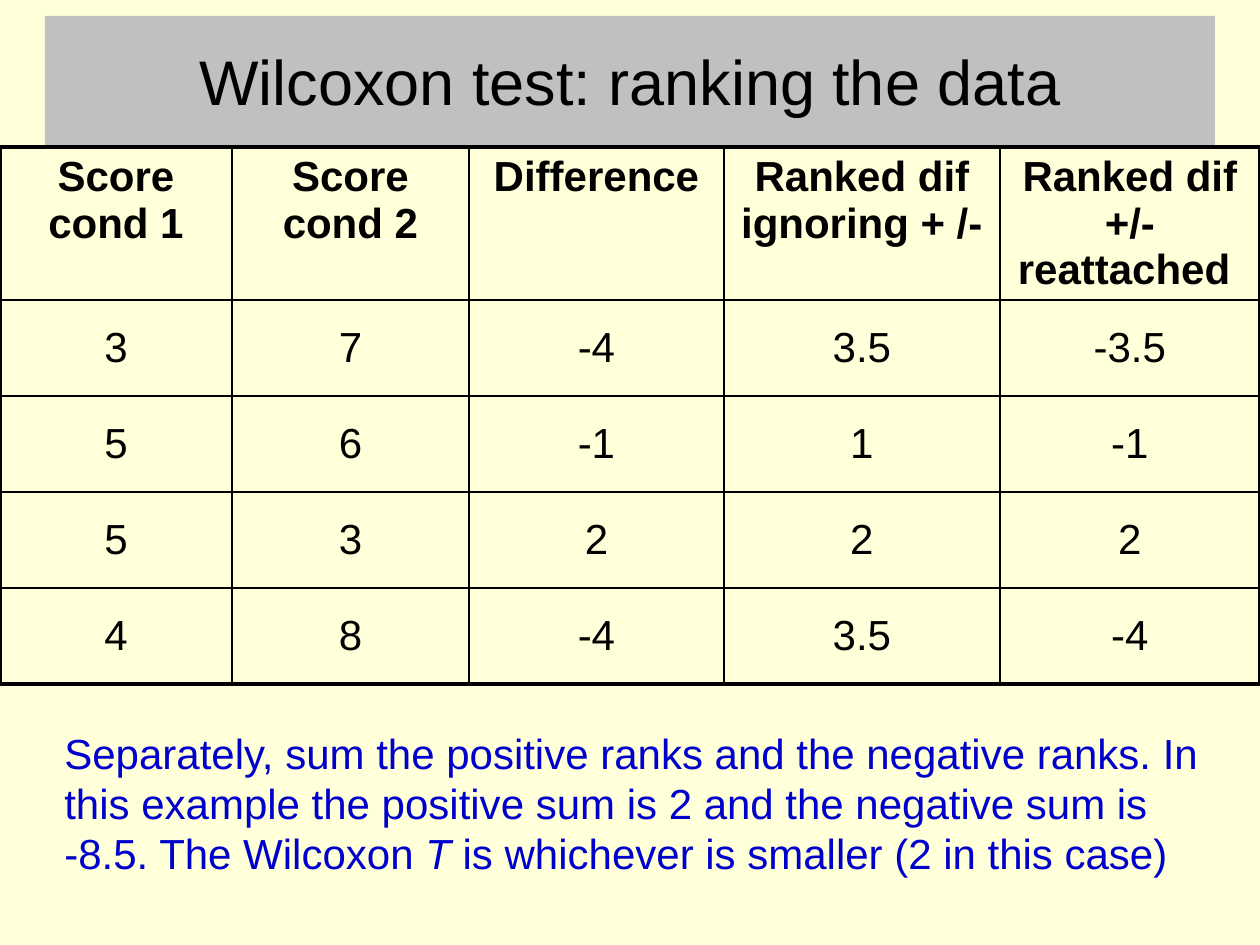
from lxml.etree import SubElement
from pptx import Presentation
from pptx.dml.color import RGBColor
from pptx.enum.shapes import MSO_SHAPE as Shape
from pptx.enum.text import MSO_ANCHOR as Anchor, PP_ALIGN as Align
from pptx.oxml.ns import qn
from pptx.util import Pt

PX = 914400 // 126
CREAM = RGBColor(0xFF, 0xFF, 0xD9)
GREY = RGBColor(0xC0, 0xC0, 0xC0)
BLACK = RGBColor(0, 0, 0)
BLUE = RGBColor(0, 0, 0xCC)

COLS = [232, 237, 255, 276, 260]
HEAD = ["Score cond 1", "Score cond 2", "Difference",
        "Ranked dif ignoring + /-", "Ranked dif +/- reattached "]
DATA = [
    ["3", "7", "-4", "3.5", "-3.5"],
    ["5", "6", "-1", "1", "-1"],
    ["5", "3", "2", "2", "2"],
    ["4", "8", "-4", "3.5", "-4"],
]


def scale(box):
    """Turn a box in px into EMU."""
    return [n * PX for n in box]


def add_run(para, text, size, color, **extra):
    """Add a run of text in the slide's font."""
    run = para.add_run()
    run.text = text
    run.font.color.rgb = color
    look = {"name": "Arial", "size": Pt(size), **extra}
    for key, value in look.items():
        setattr(run.font, key, value)


def add_edge(cell, side, width):
    """Draw one border of a cell."""
    line = SubElement(cell._tc.get_or_add_tcPr(), qn("a:" + side), w=str(Pt(width)))
    fill = SubElement(line, qn("a:solidFill"))
    SubElement(fill, qn("a:srgbClr"), val=str(BLACK))


def add_title(slide, box):
    """Place the title band."""
    band = slide.shapes.add_shape(Shape.RECTANGLE, *scale(box))
    band.shadow.inherit = False
    band.fill.solid()
    band.fill.fore_color.rgb = GREY
    band.line.fill.background()
    band.text_frame.vertical_anchor = Anchor.MIDDLE
    para = band.text_frame.paragraphs[0]
    para.alignment = Align.CENTER
    add_run(para, "Wilcoxon test: ranking the data", 36, BLACK)


def add_ranks(slide, box, top):
    """Place the table of scores and ranks, with a header row of the given height."""
    rows = [HEAD] + DATA
    last, end = len(DATA), len(COLS) - 1
    table = slide.shapes.add_table(len(rows), len(COLS), *scale(box)).table
    for col, width in zip(table.columns, COLS):
        col.width = width * PX
    for r, texts in enumerate(rows):
        table.rows[r].height = (top if r == 0 else (box[3] - top) // last) * PX
        for c, text in enumerate(texts):
            cell = table.cell(r, c)
            cell.vertical_anchor = Anchor.MIDDLE if r else Anchor.TOP
            para = cell.text_frame.paragraphs[0]
            para.alignment = Align.CENTER
            add_run(para, text, 24, BLACK, bold=r == 0)
            outer = {"lnL": c == 0, "lnR": c == end, "lnT": r == 0, "lnB": r == last}
            for side, thick in outer.items():
                add_edge(cell, side, 2.25 if thick else 1)
            cell.fill.background()


def add_note(slide, box):
    """Place the note on the sums and the test statistic."""
    frame = slide.shapes.add_textbox(*scale(box)).text_frame
    frame.word_wrap = True
    para = frame.paragraphs[0]
    add_run(para, "Separately, sum the positive ranks and the negative ranks. In this "
            "example the positive sum is 2 and the negative sum is", 24, BLUE)
    para.add_line_break()
    add_run(para, "-8.5. The Wilcoxon ", 24, BLUE)
    add_run(para, "T", 24, BLUE, italic=True)
    add_run(para, " is whichever is smaller (2 in this case)", 24, BLUE)


def main():
    """Build and save the slide."""
    deck = Presentation()
    deck.slide_width, deck.slide_height = scale([1260, 945])
    slide = deck.slides.add_slide(deck.slide_layouts[6])
    slide.background.fill.solid()
    slide.background.fill.fore_color.rgb = CREAM
    add_title(slide, [45, 16, 1170, 129])
    add_ranks(slide, [0, 147, 1260, 537], 153)
    add_note(slide, [52, 721, 1173, 164])
    deck.save("out.pptx")


if __name__ == "__main__":
    main()
